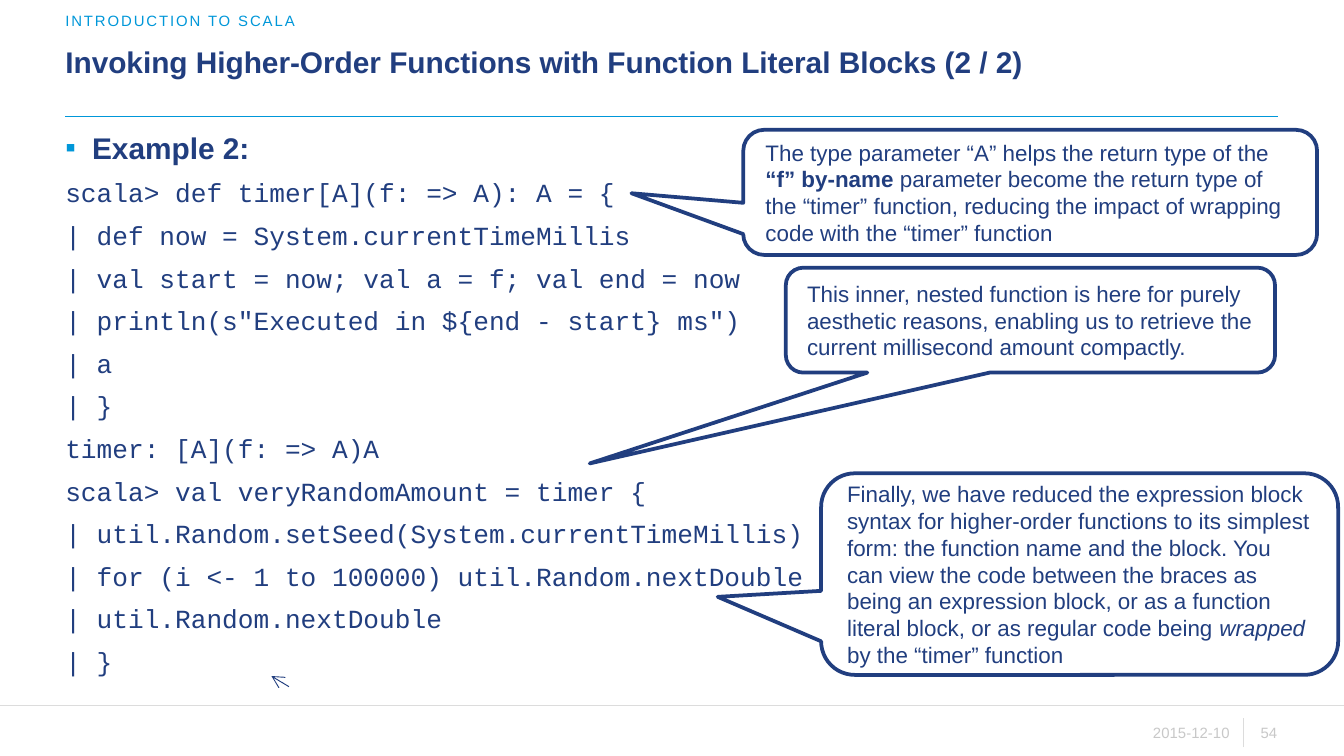
from lxml.etree import SubElement
from pptx import Presentation
from pptx.dml.color import RGBColor
from pptx.enum.shapes import MSO_CONNECTOR, MSO_SHAPE
from pptx.enum.text import MSO_ANCHOR as Anchor, PP_ALIGN as Align
from pptx.oxml.ns import qn
from pptx.util import Pt

NAVY = RGBColor(0x21, 0x3E, 0x7F)
CYAN = RGBColor(0x00, 0x97, 0xD9)
RULE_GRAY = RGBColor(0xDC, 0xDC, 0xDC)
FOOTER_GRAY = RGBColor(0xC8, 0xC8, 0xC8)
WHITE = RGBColor(0xFF, 0xFF, 0xFF)

LEFT = 35

CODE = [
    "scala> def timer[A](f: => A): A = {",
    "| def now = System.currentTimeMillis",
    "| val start = now; val a = f; val end = now",
    '| println(s"Executed in ${end - start} ms")',
    "| a",
    "| }",
    "timer: [A](f: => A)A",
    "scala> val veryRandomAmount = timer {",
    "| util.Random.setSeed(System.currentTimeMillis)",
    "| for (i <- 1 to 100000) util.Random.nextDouble",
    "| util.Random.nextDouble",
    "| }",
]

# Each callout: box, pointer tip, and runs of (text, style)
CALLOUTS = [
    ((398.2, 69.6, 307.4, 67), (-0.695, 0.007), [
        ("The type parameter “A” helps the return type of the ", None),
        ("“f” by-name ", "bold"),
        ("parameter become the return type of the “timer” function, "
         "reducing the impact of wrapping code with the “timer” function", None),
    ]),
    ((421, 143.4, 262.1, 56.2), (-0.901, 1.366), [
        ("This inner, nested function is here for purely aesthetic reasons, "
         "enabling us to retrieve the current millisecond amount compactly.", None),
    ]),
    ((439.9, 253.6, 277, 108), (-0.7, 0.113), [
        ("Finally, we have reduced the expression block syntax for higher-order "
         "functions to its simplest form: the function name and the block. You can "
         "view the code between the braces as being an expression block, or as a "
         "function literal block, or as regular code being ", None),
        ("wrapped ", "italic"),
        ("by the “timer” function", None),
    ]),
]


def set_font(paragraph, size, color, name="Arial", bold=False):
    font = paragraph.font
    font.name, font.size, font.bold = name, Pt(size), bold
    font.color.rgb = color


def set_frame(frame, anchor=Anchor.TOP, inset=0, wrap=True):
    frame.word_wrap = wrap
    frame.vertical_anchor = anchor
    frame.margin_left = frame.margin_right = Pt(inset)
    frame.margin_top = frame.margin_bottom = Pt(inset)


def add_title(slide, text):
    title = slide.shapes.title
    title.left, title.top, title.width, title.height = map(Pt, (LEFT, 25.6, 527, 35.3))
    set_frame(title.text_frame)
    title.text_frame.text = text
    heading = title.text_frame.paragraphs[0]
    heading.alignment = Align.LEFT
    heading.line_spacing = Pt(17)
    set_font(heading, 16, NAVY, bold=True)


def add_label(slide, box, text, color, align=Align.LEFT, anchor=Anchor.MIDDLE, wrap=False):
    label = slide.shapes.add_textbox(*map(Pt, box))
    set_frame(label.text_frame, anchor, wrap=wrap)
    paragraph = label.text_frame.paragraphs[0]
    paragraph.text = text
    paragraph.alignment = align
    set_font(paragraph, 8, color)
    return paragraph


def add_line(slide, start, end, color, width=0.75, arrow=False):
    line = slide.shapes.add_connector(MSO_CONNECTOR.STRAIGHT, *map(Pt, start + end))
    line.line.color.rgb = color
    line.line.width = Pt(width)
    if arrow:
        SubElement(line.line._get_or_add_ln(), qn("a:tailEnd"), type="arrow")
    SubElement(line._element.spPr, qn("a:effectLst"))


def add_bullet(paragraph, char, color):
    props = paragraph._p.get_or_add_pPr()
    props.set("marL", str(Pt(14.4)))
    props.set("indent", str(-Pt(14.4)))
    bullet_color = SubElement(props, qn("a:buClr"))
    SubElement(bullet_color, qn("a:srgbClr"), val=str(color))
    SubElement(props, qn("a:buFont"), typeface="Arial")
    SubElement(props, qn("a:buChar"), char=char)


def add_listing(slide, heading, code):
    listing = slide.shapes.add_textbox(*map(Pt, (LEFT, 69.5, 405.4, 298)))
    frame = listing.text_frame
    set_frame(frame)
    frame.text = "\n".join([heading] + code)
    for paragraph in frame.paragraphs:
        paragraph.space_before = Pt(6)
        set_font(paragraph, 14, NAVY, "Courier New")
    example = frame.paragraphs[0]
    set_font(example, 16, NAVY, bold=True)
    add_bullet(example, "▪", CYAN)


def add_callout(slide, box, tip, runs):
    callout = slide.shapes.add_shape(MSO_SHAPE.ROUNDED_RECTANGULAR_CALLOUT, *map(Pt, box))
    callout.shadow.inherit = False
    for index, value in enumerate(tip + (0.167,)):
        callout.adjustments[index] = value
    callout.fill.solid()
    callout.fill.fore_color.rgb = WHITE
    callout.line.color.rgb = NAVY
    callout.line.width = Pt(2)
    set_frame(callout.text_frame, Anchor.MIDDLE, inset=8.64)
    note = callout.text_frame.paragraphs[0]
    note.alignment = Align.LEFT
    set_font(note, 12, NAVY)
    for text, style in runs:
        run = note.add_run()
        run.text = text
        if style == "bold":
            run.font.bold = True
        elif style == "italic":
            run.font.italic = True


def main():
    deck = Presentation()
    deck.slide_width, deck.slide_height = Pt(720), Pt(405)
    slide = deck.slides.add_slide(deck.slide_layouts[5])

    # Rules and footer
    add_line(slide, (LEFT, 62.4), (684.7, 62.4), CYAN)
    add_line(slide, (-2, 378), (722, 378), RULE_GRAY)
    add_line(slide, (666, 400.3), (666, 384.5), RULE_GRAY)
    add_label(slide, (617, 387.8, 41.8, 9.4), "2015-12-10", FOOTER_GRAY, Align.RIGHT)
    add_label(slide, (668.4, 387.8, 15.8, 9.4), "54", FOOTER_GRAY, Align.RIGHT)

    # Header
    add_title(slide, "Invoking Higher-Order Functions with Function Literal Blocks (2 / 2)")
    section = add_label(slide, (LEFT, 6.5, 527, 9.4), "INTRODUCTION TO SCALA", CYAN,
                        anchor=Anchor.BOTTOM, wrap=True)
    section.runs[0].font._element.set("spc", "100")

    # Code listing and its remarks
    add_listing(slide, "Example 2:", CODE)
    add_line(slide, (154.8, 367.9), (145.4, 362.2), NAVY, 0.5, arrow=True)
    for box, tip, runs in CALLOUTS:
        add_callout(slide, box, tip, runs)

    deck.save("out.pptx")


if __name__ == "__main__":
    main()
